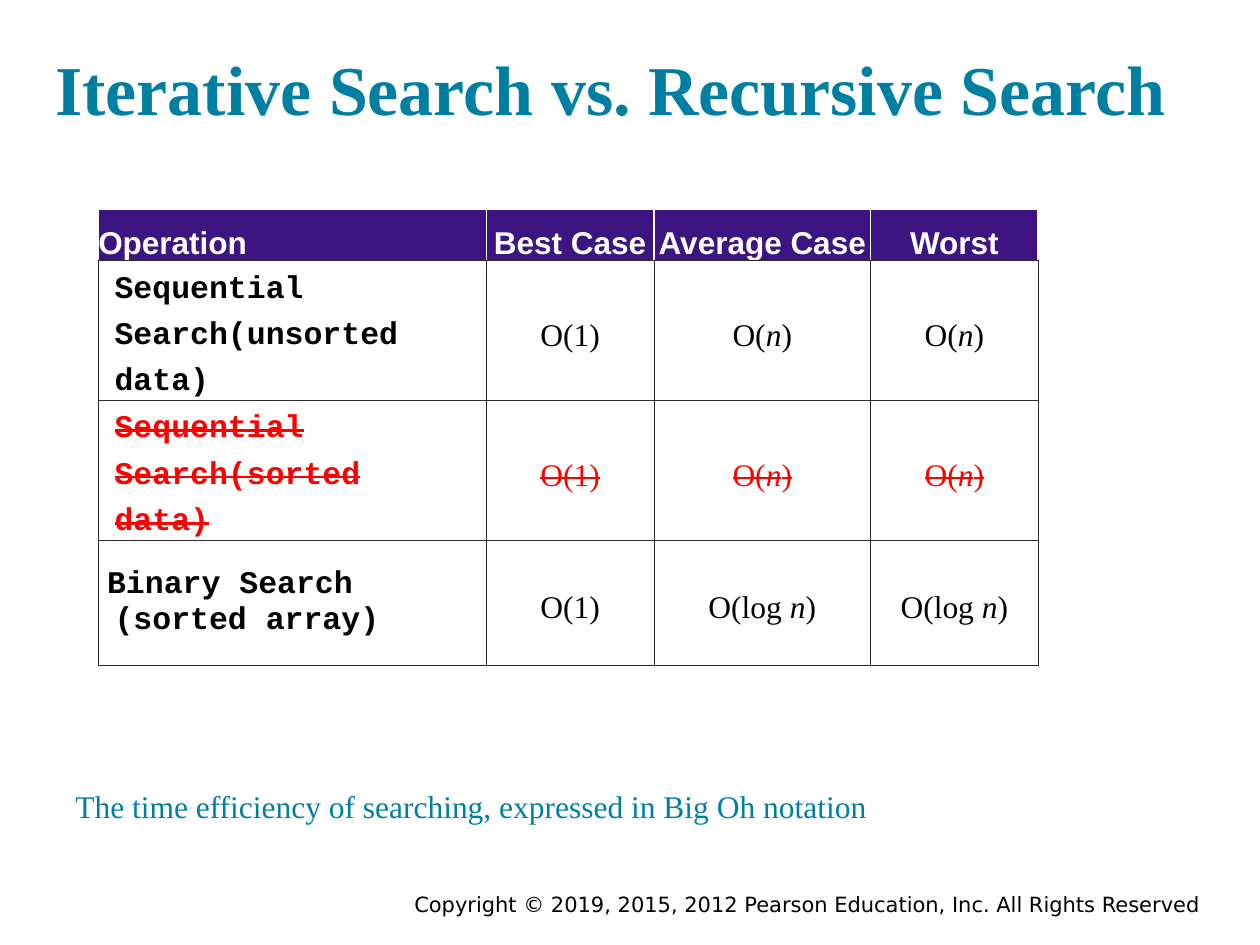
from dataclasses import dataclass

from lxml.etree import SubElement as Sub
from pptx import Presentation
from pptx.dml.color import RGBColor as Color
from pptx.enum.text import MSO_ANCHOR as Anchor, MSO_AUTO_SIZE as Fit, PP_ALIGN as Align
from pptx.oxml.ns import qn
from pptx.util import Inches, Pt


@dataclass(frozen=True)
class Theme:
    teal: str = "007FA3"
    head: str = "3C1581"
    rule: str = "2F2A2B"
    white: str = "FFFFFF"
    black: str = "000000"
    red: str = "FF0000"
    serif: str = "Times New Roman"
    sans: str = "Arial"
    code: str = "Courier New"
    foot: str = "DejaVu Sans"
    big: int = 40
    mid: int = 18
    small: int = 12


T = Theme()
HEADS = ["Operation", "Best Case", "Average Case", "Worst"]
ROWS = [
    (["Sequential Search(unsorted data)", "O(1)", "O(*n*)", "O(*n*)"], T.black, False),
    (["Sequential Search(sorted data)", "O(1)", "O(*n*)", "O(*n*)"], T.red, True),
    (["Binary Search\n(sorted array)", "O(1)", "O(log *n*)", "O(log *n*)"], T.black, False),
]
COLS = [3.08, 1.33, 1.72, 1.33]
HIGH = [0.41, 1.11, 1.11, 0.99]


def apply(item, form):
    for key, val in form.items():
        setattr(item, key, val)


def write(par, text, face, size, tint, bold=False, strike=False, **form):
    apply(par, form)
    for row, line in enumerate(text.split("\n")):
        if row:
            par.add_line_break()
        for num, part in enumerate(line.split("*")):
            run = par.add_run()
            run.text = part
            apply(run.font, {"name": face, "size": Pt(size), "bold": bold, "italic": num % 2 == 1})
            run.font.color.rgb = Color.from_string(tint)
            if strike:
                run._r.get_or_add_rPr().set("strike", "sngStrike")


def pad(item, side, top):
    apply(item, {"margin_left": Inches(side), "margin_right": Inches(side),
                 "margin_top": Inches(top), "margin_bottom": Inches(top)})


def place(shape, box, inset, anchor):
    apply(shape, dict(zip(("left", "top", "width", "height"), map(Inches, box))))
    frame = shape.text_frame
    apply(frame, {"word_wrap": True, "auto_size": Fit.NONE, "vertical_anchor": anchor})
    pad(frame, inset, inset)
    return frame.paragraphs[0]


def title(slide, box):
    par = place(slide.shapes.title, box, 0.1, Anchor.BOTTOM)
    write(par, "Iterative Search vs. Recursive Search", T.serif, T.big, T.teal, True,
          alignment=Align.LEFT)


def note(slide, box, text, inset, anchor, *look, **form):
    par = place(slide.shapes.add_textbox(*map(Inches, box)), box, inset, anchor)
    write(par, text, *look, **form)


def border(cell, edges):
    for side, (tint, wide) in edges.items():
        line = Sub(cell._tc.get_or_add_tcPr(), qn(f"a:ln{side}"), w=str(Pt(wide)))
        Sub(Sub(line, qn("a:solidFill")), qn("a:srgbClr"), val=tint)


def header(cell, text, first):
    border(cell, {**dict.fromkeys("LRT", (T.white, 1)), "B": (T.rule, 0.5)})
    cell.fill.solid()
    cell.fill.fore_color.rgb = Color.from_string(T.head)
    cell.vertical_anchor = Anchor.BOTTOM
    pad(cell, 0, 0)
    write(cell.text_frame.paragraphs[0], text, T.sans, T.mid, T.white, True,
          alignment=Align.LEFT if first else Align.CENTER)


def entry(cell, text, tint, strike, first, top):
    border(cell, {"L": (T.rule, 0.5), "R": (T.rule, 0.5),
                  "T": (T.rule, 0.5), "B": (T.rule, 0.5)})
    cell.fill.background()
    cell.vertical_anchor = Anchor.MIDDLE
    pad(cell, 0.07, 0)
    par = cell.text_frame.paragraphs[0]
    split = "\n" in text
    if first:
        dent = str(Inches(0.06))
        apply_dent = {"marL": dent, "marR": dent, "indent": f"-{dent}" if split else "0"}
        for key, val in apply_dent.items():
            par._p.get_or_add_pPr().set(key, val)
    write(par, text, T.code if first else T.serif, T.mid, tint, first, strike,
          alignment=Align.LEFT if first else Align.CENTER,
          line_spacing=1.0 if split else 1.3, space_before=Pt(top))


def grid(slide, box):
    table = slide.shapes.add_table(len(HIGH), len(COLS), *map(Inches, box)).table
    table.horz_banding = False
    for col, wide in zip(table.columns, COLS):
        col.width = Inches(wide)
    for row, high in zip(table.rows, HIGH):
        row.height = Inches(high)
    for col, text in enumerate(HEADS):
        header(table.cell(0, col), text, col == 0)
    for row, (texts, tint, strike) in enumerate(ROWS, 1):
        for col, text in enumerate(texts):
            entry(table.cell(row, col), text, tint, strike, col == 0, 2)


def main():
    deck = Presentation()
    apply(deck, {"slide_width": Inches(10), "slide_height": Inches(7.5)})
    slide = deck.slides.add_slide(deck.slide_layouts[5])
    note(slide, (1.75, 7.03, 7.83, 0.31),
         "Copyright © 2019, 2015, 2012 Pearson Education, Inc. All Rights Reserved",
         0.05, Anchor.TOP, T.foot, T.small, T.black, alignment=Align.RIGHT)
    title(slide, (0.34, 0.25, 9.31, 0.88))
    note(slide, (0.5, 6.12, 9, 0.53),
         "The time efficiency of searching, expressed in Big Oh notation",
         0.1, Anchor.BOTTOM, T.serif, T.mid, T.teal)
    grid(slide, (0.78, 1.66, sum(COLS), sum(HIGH)))
    deck.save("out.pptx")


if __name__ == "__main__":
    main()
